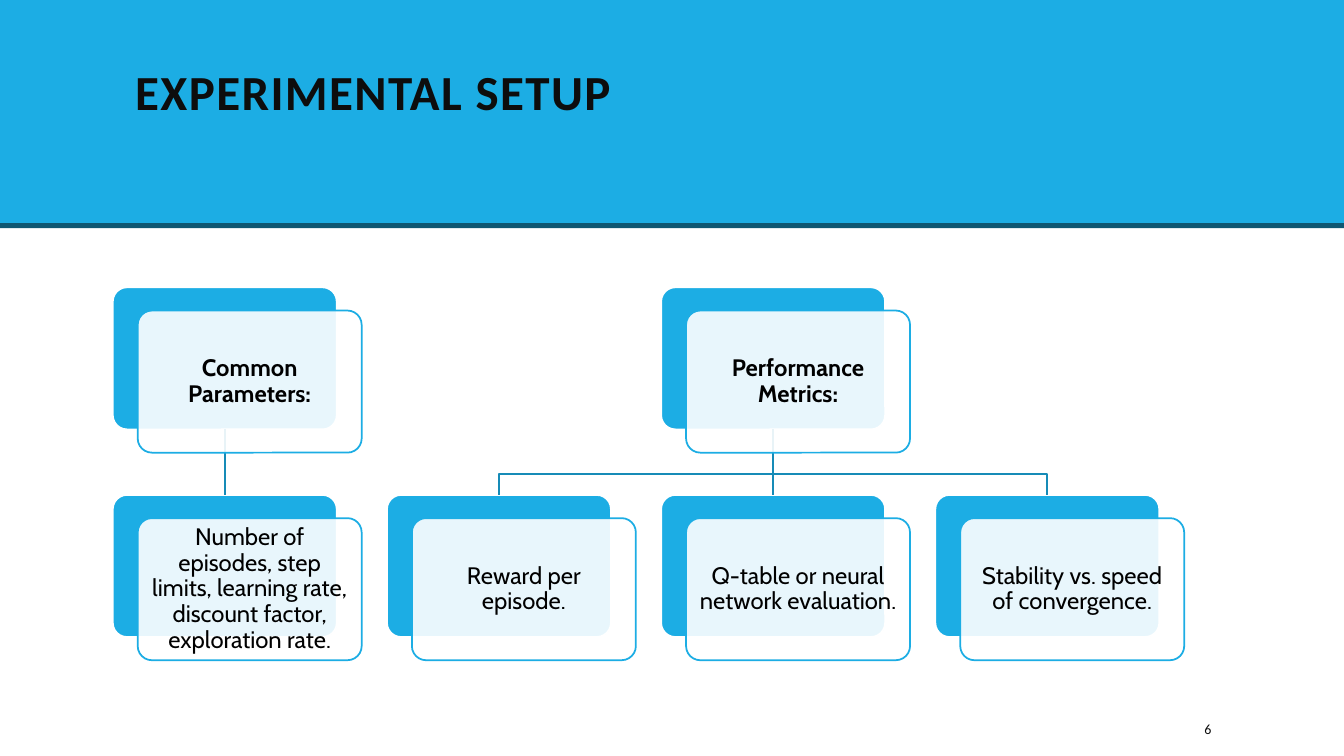
from dataclasses import dataclass

from lxml.etree import SubElement
from pptx import Presentation
from pptx.dml.color import RGBColor
from pptx.enum.shapes import MSO_CONNECTOR, MSO_SHAPE
from pptx.enum.text import MSO_ANCHOR as ANCHOR, MSO_AUTO_SIZE, PP_ALIGN
from pptx.oxml.ns import qn
from pptx.util import Pt

BLUE, NAVY, LINK, WHITE, INK = "1CADE4", "0E5772", "168BB7", "FFFFFF", "0D0D0D"
LEFT, TOP, COL_STEP, ROW_STEP = 80.6, 205.2, 195.84, 148.3
CARD_W, CARD_H = 160, 101.5
SHIFT_X, SHIFT_Y = 17.8, 16.6
BEND_Y = 338.4


@dataclass
class Card:
    text: str
    col: int
    row: int
    parent: int | None = None

    @property
    def x(self) -> float:
        return LEFT + self.col * COL_STEP

    @property
    def y(self) -> float:
        return TOP + self.row * ROW_STEP

    @property
    def mid(self) -> float:
        return self.x + CARD_W / 2


CARDS = [
    Card("Common Parameters:", 0, 0),
    Card("Performance Metrics:", 2, 0),
    Card("Number of episodes, step limits, learning rate, discount factor, "
         "exploration rate.", 0, 1, parent=0),
    Card("Reward per episode.", 1, 1, parent=1),
    Card("Q-table or neural network evaluation.", 2, 1, parent=1),
    Card("Stability vs. speed of convergence.", 3, 1, parent=1),
]


def rgb(color: str) -> RGBColor:
    return RGBColor.from_string(color)


def set_all(target, values: dict) -> None:
    for name, value in values.items():
        setattr(target, name, value)


def set_line(shape, color: str) -> None:
    shape.line.color.rgb = rgb(color)
    shape.line.width = Pt(1.25)


def add_box(s, kind, x: float, y: float, w: float, h: float, fill: str,
            line: str | None = None):
    sp = s.shapes.add_shape(kind, Pt(x), Pt(y), Pt(w), Pt(h))
    sp.shadow.inherit = False
    sp.fill.solid()
    sp.fill.fore_color.rgb = rgb(fill)
    if line:
        set_line(sp, line)
    else:
        sp.line.fill.background()
    return sp


def add_card(s, x: float, y: float, fill: str, line: str):
    sp = add_box(s, MSO_SHAPE.ROUNDED_RECTANGLE, x, y, CARD_W, CARD_H, fill, line)
    sp.adjustments[0] = 0.1
    return sp


def write(tf, text: str, frame: dict, para: dict, font: dict, color: str):
    set_all(tf, {"word_wrap": True, "auto_size": MSO_AUTO_SIZE.NONE} | frame)
    p = tf.paragraphs[0]
    set_all(p, para)
    r = p.add_run()
    r.text = text
    set_all(r.font, font)
    r.font.color.rgb = rgb(color)
    return r


def add_straight(s, start, end) -> None:
    cx = s.shapes.add_connector(MSO_CONNECTOR.STRAIGHT, 0, 0, 0, 0)
    cx.begin_connect(start, 2)
    cx.end_connect(end, 0)
    set_line(cx, LINK)
    SubElement(cx._element.spPr, qn("a:effectLst"))


def add_elbow(s, start: Card, end: Card) -> None:
    fb = s.shapes.build_freeform(Pt(start.mid), Pt(start.y + CARD_H))
    corners = [(start.mid, BEND_Y), (end.mid, BEND_Y), (end.mid, end.y)]
    fb.add_line_segments([(Pt(x), Pt(y)) for x, y in corners], close=False)
    sp = fb.convert_to_shape()
    sp.shadow.inherit = False
    sp.fill.background()
    set_line(sp, LINK)


def add_header(s) -> None:
    add_box(s, MSO_SHAPE.RECTANGLE, 0, 0, 960, 161.3, BLUE)
    add_box(s, MSO_SHAPE.RECTANGLE, 0, 159.3, 960, 3.6, NAVY)
    title = s.shapes.title
    set_all(title, {"left": Pt(80.6), "top": Pt(46), "width": Pt(765.4), "height": Pt(118)})
    title._element.getparent().append(title._element)  # in front of the band
    r = write(title.text_frame, "EXPERIMENTAL SETUP",
              {"vertical_anchor": ANCHOR.TOP, "margin_left": Pt(16), "margin_top": Pt(6)},
              {"alignment": PP_ALIGN.LEFT, "line_spacing": 0.8},
              {"name": "Calibri", "size": Pt(35), "bold": True}, INK)
    r.font._element.set("spc", "100")


def add_diagram(s) -> None:
    # Back cards
    backs = [add_card(s, c.x, c.y, BLUE, WHITE) for c in CARDS]

    # Links from each heading to its items
    for card, back in zip(CARDS, backs):
        if card.parent is None:
            continue
        if card.col == CARDS[card.parent].col:
            add_straight(s, backs[card.parent], back)
        else:
            add_elbow(s, CARDS[card.parent], card)

    # Translucent front cards with the text
    sides = ("left", "right", "top", "bottom")
    frame = {f"margin_{side}": Pt(5) for side in sides} | {"vertical_anchor": ANCHOR.MIDDLE}
    for card in CARDS:
        sp = add_card(s, card.x + SHIFT_X, card.y + SHIFT_Y, WHITE, BLUE)
        color = sp._element.spPr.find(qn("a:solidFill"))[0]
        SubElement(color, qn("a:alpha"), val="90000")
        write(sp.text_frame, card.text, frame,
              {"alignment": PP_ALIGN.CENTER, "line_spacing": 0.9, "space_after": Pt(6)},
              {"name": "Cabin", "size": Pt(17), "bold": card.parent is None}, "000000")


def main() -> None:
    prs = Presentation()
    prs.slide_width, prs.slide_height = Pt(960), Pt(540)
    s = prs.slides.add_slide(prs.slide_layouts[5])
    add_header(s)
    add_diagram(s)

    # Slide number
    tb = s.shapes.add_textbox(Pt(853.2), Pt(509.8), Pt(76.3), Pt(21.6))
    write(tb.text_frame, "6", {"vertical_anchor": ANCHOR.MIDDLE}, {"space_after": Pt(6)},
          {"name": "Calibri", "size": Pt(10)}, INK)
    prs.save("out.pptx")


if __name__ == "__main__":
    main()
